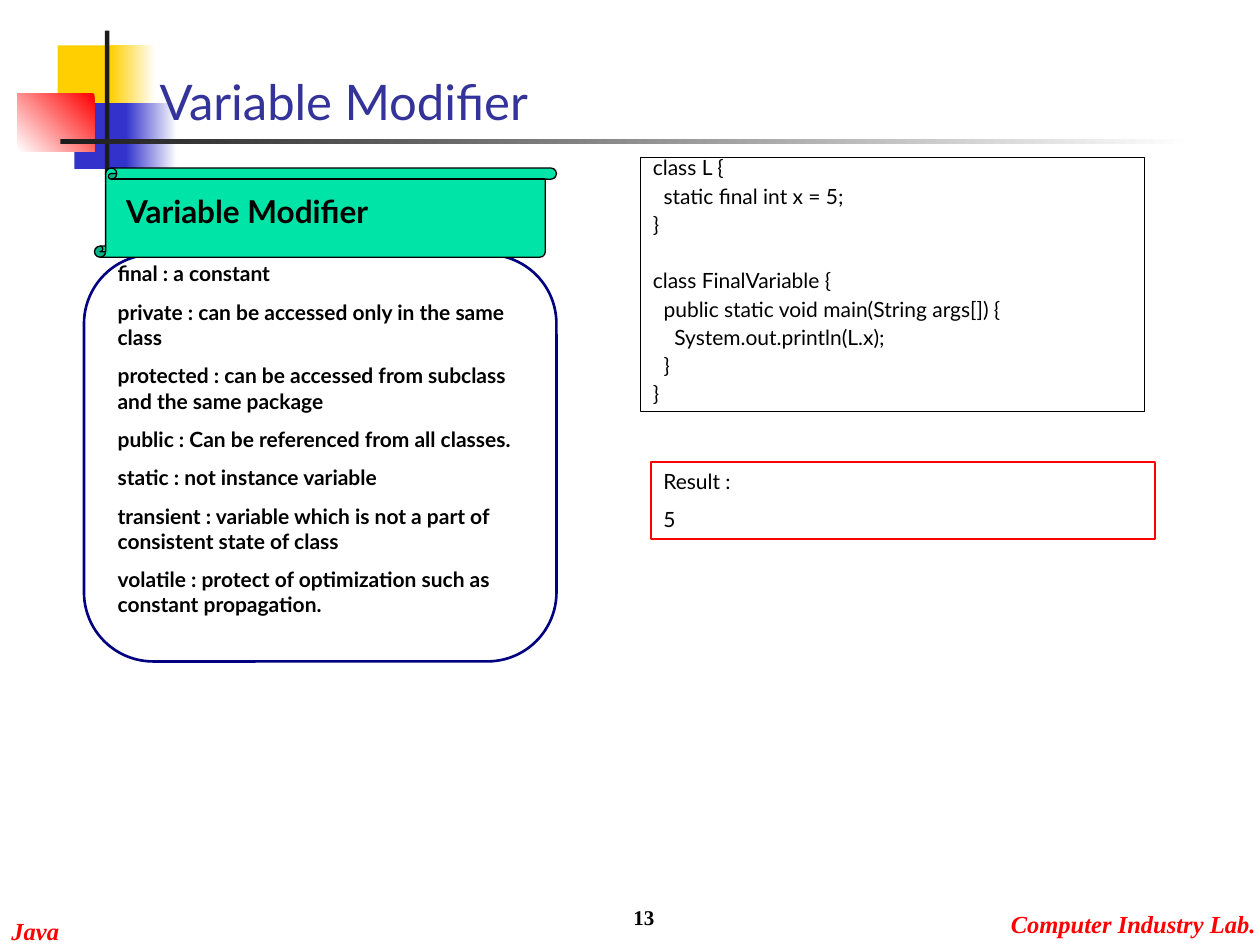
from dataclasses import dataclass

from lxml import etree
from pptx import Presentation
from pptx.dml.color import RGBColor
from pptx.enum.shapes import MSO_SHAPE
from pptx.enum.text import MSO_ANCHOR, MSO_AUTO_SIZE, PP_ALIGN
from pptx.oxml.ns import qn
from pptx.util import Pt

RECTANGLE = MSO_SHAPE.RECTANGLE
ROUNDED = MSO_SHAPE.ROUNDED_RECTANGLE
SCROLL = MSO_SHAPE.VERTICAL_SCROLL
TOP, BOTTOM = MSO_ANCHOR.TOP, MSO_ANCHOR.BOTTOM
LEFT, RIGHT = PP_ALIGN.LEFT, PP_ALIGN.RIGHT


@dataclass(frozen=True)
class Theme:
    font: str = "Lato"
    footer_font: str = "Times New Roman"
    title_size: float = 28
    heading_size: float = 18
    footer_size: float = 14
    text_size: float = 12
    white: str = "FFFFFF"
    black: str = "000000"
    charcoal: str = "1C1C1C"
    yellow: str = "FFCF01"
    blue: str = "3333CC"
    red: str = "FF0000"
    title: str = "333399"
    navy: str = "000080"
    green: str = "00E4A8"


theme = Theme()


def add_box(kind, box, fill=None, fade=None, angle=0, line=None, width=0.75):
    """Add a shape; with fade, the fill runs from one colour to the other."""
    shape = slide.shapes.add_shape(kind, *map(Pt, box))
    shape.shadow.inherit = False
    if fade:
        shape.fill.gradient()
        shape.fill.gradient_angle = angle
        for stop, colour in zip(shape.fill.gradient_stops, (fill, fade)):
            stop.color.rgb = RGBColor.from_string(colour)
    elif fill:
        shape.fill.solid()
        shape.fill.fore_color.rgb = RGBColor.from_string(fill)
    else:
        shape.fill.background()
    if line:
        shape.line.color.rgb = RGBColor.from_string(line)
        shape.line.width = Pt(width)
    else:
        shape.line.fill.background()
    return shape


def write_text(shape, text, size=theme.text_size, font=theme.font, colour=theme.black,
               bold=False, italic=False, align=LEFT, anchor=TOP, gap=0, spacing=None, wrap=True):
    """Write one paragraph per line; an empty line widens the gap that follows."""
    frame = shape.text_frame
    frame.auto_size = MSO_AUTO_SIZE.NONE
    frame.word_wrap = wrap
    frame.vertical_anchor = anchor
    paragraph, blank_lines = None, 0
    for line in text.split("\n"):
        if not line:
            blank_lines += 1
            continue
        first = paragraph is None
        paragraph = frame.paragraphs[0] if first else frame.add_paragraph()
        paragraph.alignment = align
        line_height = size * 1.2 * (spacing or 1)
        paragraph.space_before = Pt(0 if first else gap + blank_lines * (gap + line_height))
        if spacing:
            paragraph.line_spacing = spacing
        run = paragraph.add_run()
        run.text = line
        run.font.size, run.font.name = Pt(size), font
        run.font.bold, run.font.italic = bold, italic
        run.font.color.rgb = RGBColor.from_string(colour)
        blank_lines = 0


presentation = Presentation()
presentation.slide_width, presentation.slide_height = Pt(720), Pt(540)
slide = presentation.slides.add_slide(presentation.slide_layouts[1])
title, body = slide.placeholders

# Corner ornament and title rule
add_box(RECTANGLE, (33, 26, 35, 37), theme.yellow)
add_box(RECTANGLE, (63, 26, 26, 37), theme.yellow, theme.white)
add_box(RECTANGLE, (42.5, 59, 33, 37.5), theme.blue)
add_box(RECTANGLE, (72, 59, 29, 37.5), theme.blue, theme.white)
add_box(RECTANGLE, (10, 53.5, 44, 33), theme.red, theme.white, angle=225)
add_box(RECTANGLE, (60, 17.5, 2.5, 82.5), theme.charcoal)
add_box(RECTANGLE, (34.5, 79.75, 648, 2.5), theme.charcoal, theme.white)

# Footer
for label, box in (("Java", (-0.5, 520, 41.5, 24.5)),
                   ("Computer Industry Lab.", (570.5, 516, 154, 24.5))):
    write_text(slide.shapes.add_textbox(*map(Pt, box)), label, size=theme.footer_size,
               font=theme.footer_font, colour=theme.red, bold=True, italic=True, wrap=False)
page_number = slide.shapes.add_textbox(Pt(231), Pt(499), Pt(150), Pt(36))
write_text(page_number, "13", font=theme.footer_font, bold=True, align=RIGHT, anchor=BOTTOM)

# Modifier panel behind the list
panel = add_box(ROUNDED, (48, 145.5, 270, 232.5), line=theme.navy, width=1.5)
panel.adjustments[0] = 0.17

# Title and list stand in front of the ornament and the panel
for placeholder, box in ((title, (84, 36, 342, 42)), (body, (60, 145.5, 240, 225))):
    placeholder.left, placeholder.top, placeholder.width, placeholder.height = map(Pt, box)
    placeholder.element.getparent().append(placeholder.element)
write_text(title, "Variable Modifier", size=theme.title_size, colour=theme.title, anchor=BOTTOM)
write_text(body, """final : a constant
private : can be accessed only in the same class
protected : can be accessed from subclass and the same package
public : Can be referenced from all classes.
static : not instance variable
transient : variable which is not a part of consistent state of class
volatile : protect of optimization such as constant propagation.""", bold=True, gap=7.5)
for paragraph in body.text_frame.paragraphs:
    properties = paragraph._p.get_or_add_pPr()
    properties.set("marL", "0")
    properties.set("indent", "0")
    etree.SubElement(properties, qn("a:buNone"))

# Scroll heading
scroll = add_box(SCROLL, (54, 96, 264, 51), theme.green, line=theme.black)
scroll.adjustments[0] = 0.125
heading = slide.shapes.add_textbox(Pt(65), Pt(106), Pt(235), Pt(29))
write_text(heading, "Variable Modifier", size=theme.heading_size, bold=True)

# Code and its result
code = add_box(RECTANGLE, (366, 90, 288, 145), line=theme.black)
write_text(code, """class L {
  static final int x = 5;
}

class FinalVariable {
  public static void main(String args[]) {
    System.out.println(L.x);
  }
}""", gap=7.5, spacing=0.6)
result = add_box(RECTANGLE, (372, 264, 288, 44), line=theme.red)
write_text(result, "Result :\n5", gap=7.5)

presentation.save("out.pptx")
